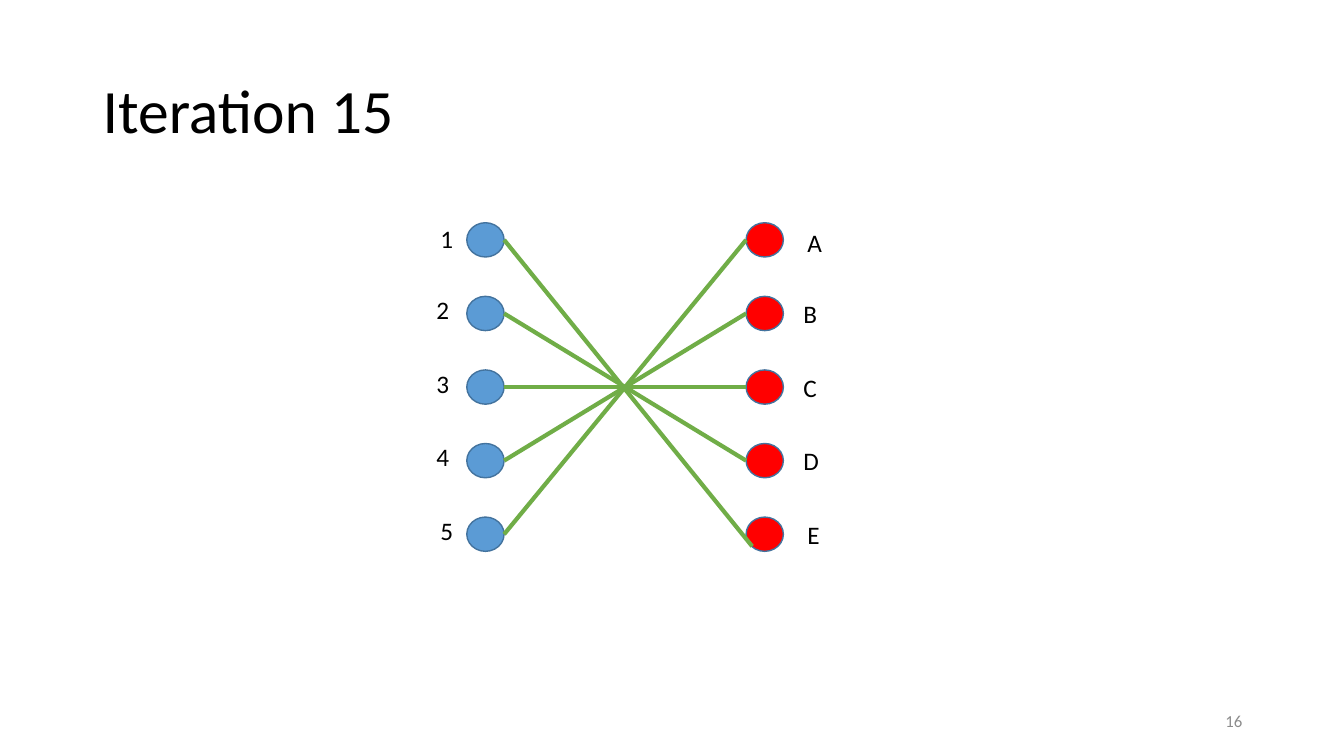
from dataclasses import dataclass

from pptx import Presentation
from pptx.dml.color import RGBColor
from pptx.enum.shapes import MSO_CONNECTOR, MSO_SHAPE
from pptx.enum.text import MSO_ANCHOR, PP_ALIGN
from pptx.oxml.ns import qn
from pptx.util import Inches, Pt

STRAIGHT = MSO_CONNECTOR.STRAIGHT
OVAL = MSO_SHAPE.OVAL
TOP, MIDDLE = MSO_ANCHOR.TOP, MSO_ANCHOR.MIDDLE
LEFT, RIGHT = PP_ALIGN.LEFT, PP_ALIGN.RIGHT


@dataclass(frozen=True)
class Theme:
    """Font, colours and sizes of the slide."""
    font: str = "Calibri"
    ink: RGBColor = RGBColor(0, 0, 0)
    muted: RGBColor = RGBColor(0x8C, 0x8C, 0x8C)
    number_node: RGBColor = RGBColor(0x5B, 0x9B, 0xD5)
    letter_node: RGBColor = RGBColor(0xFF, 0, 0)
    node_edge: RGBColor = RGBColor(0x43, 0x73, 0x9E)
    match: RGBColor = RGBColor(0x70, 0xAD, 0x47)
    title_size: int = 44
    label_size: int = 18
    page_size: int = 12
    edge_width: int = 1
    match_width: int = 3


THEME = Theme()
NODE_W, NODE_H = 0.37, 0.34
ROW_STEP = 0.73
LABEL_H = 0.4
NUMBERS, LETTERS = "12345", "ABCDE"
LABEL_NUDGES = [(0.04, 0.03), (0, 0), (0, 0), (0, 0), (0.04, 0)]
MATCH_NUDGES = {("1", "E"): (0.06, 0.12)}


def add_text(slide, box, words, size, color, anchor=TOP, align=LEFT, wrap=True):
    """Place one line of text in the box."""
    frame = slide.shapes.add_textbox(*map(Inches, box)).text_frame
    frame.word_wrap = wrap
    frame.vertical_anchor = anchor
    paragraph = frame.paragraphs[0]
    paragraph.alignment = align
    run = paragraph.add_run()
    run.text = words
    run.font.name = THEME.font
    run.font.size = Pt(size)
    run.font.color.rgb = color
    return paragraph


def add_title(slide, box, words):
    """Place the slide title."""
    title = add_text(slide, box, words, THEME.title_size, THEME.ink, MIDDLE)
    title.line_spacing = 0.9


def add_page_number(slide, box, number):
    """Place the page number."""
    add_text(slide, box, number, THEME.page_size, THEME.muted, MIDDLE, RIGHT)


def add_node_column(slide, left, top, names, fill, label_dx, label_dy, label_w):
    """Draw a column of labelled nodes."""
    for row, (name, (dx, dy)) in enumerate(zip(names, LABEL_NUDGES)):
        y = top + row * ROW_STEP
        node = slide.shapes.add_shape(
            OVAL, *map(Inches, (left, y, NODE_W, NODE_H)))
        node.shadow.inherit = False
        node.fill.solid()
        node.fill.fore_color.rgb = fill
        node.line.color.rgb = THEME.node_edge
        node.line.width = Pt(THEME.edge_width)
        label_box = (left + label_dx + dx, y + label_dy + dy, label_w, LABEL_H)
        add_text(slide, label_box, name, THEME.label_size, THEME.ink, wrap=False)


def add_match(slide, start, end):
    """Draw one matching line."""
    match = slide.shapes.add_connector(STRAIGHT, *map(Inches, (*start, *end)))
    match.line.color.rgb = THEME.match
    match.line.width = Pt(THEME.match_width)
    properties = match._element.spPr
    properties.append(properties.makeelement(qn("a:effectLst"), {}))


def add_matching(slide, box):
    """Draw both node columns and the lines pairing them."""
    left, top, width, _ = box
    right = left + width - NODE_W
    add_node_column(slide, left, top, NUMBERS, THEME.number_node,
                    -0.4, -0.07, 0.33)
    add_node_column(slide, right, top, LETTERS, THEME.letter_node,
                    0.47, -0.03, 0.34)
    middles = [top + NODE_H / 2 + row * ROW_STEP for row in range(len(NUMBERS))]
    pairs = zip(NUMBERS, reversed(LETTERS), middles, reversed(middles))
    for number, letter, start_y, end_y in pairs:
        dx, dy = MATCH_NUDGES.get((number, letter), (0, 0))
        add_match(slide, (left + NODE_W, start_y), (right + dx, end_y + dy))


def main():
    """Build and save the slide."""
    deck = Presentation()
    deck.slide_width, deck.slide_height = Inches(13.33), Inches(7.5)
    slide = deck.slides.add_slide(deck.slide_layouts[6])
    add_title(slide, (0.92, 0.4, 11.5, 1.45), "Iteration 15")
    add_matching(slide, (4.63, 2.21, 3.14, 3.26))
    add_page_number(slide, (9.42, 6.95, 3, 0.4), "16")
    deck.save("out.pptx")


if __name__ == "__main__":
    main()
